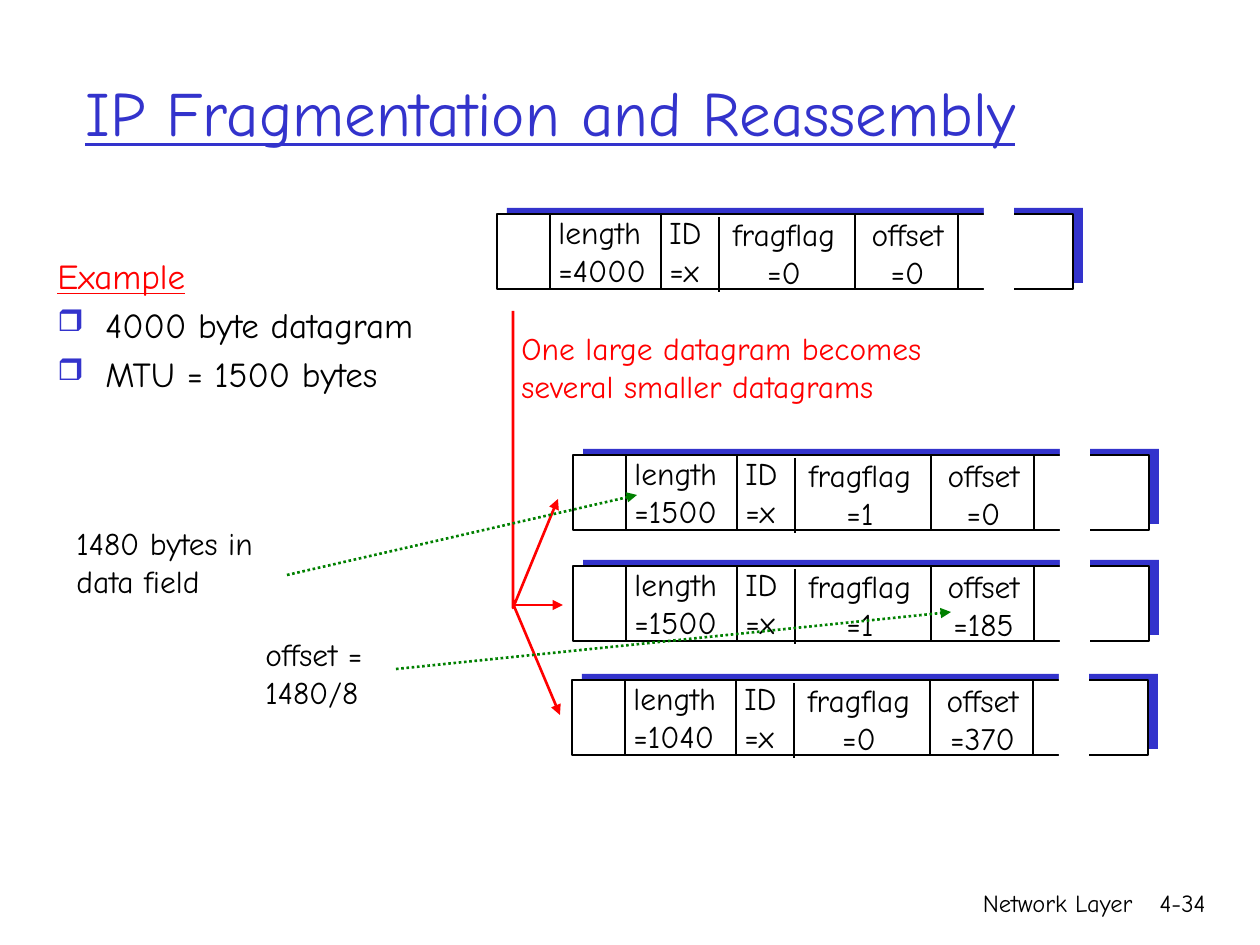
"""Build the IP fragmentation and reassembly slide."""
from dataclasses import dataclass
from typing import Any

import lxml.etree
import pptx
import pptx.dml.color
import pptx.enum.dml
import pptx.enum.shapes
import pptx.enum.text
import pptx.oxml.ns
import pptx.util

EMU_PER_PX = 914400 / 126
ALIGN = pptx.enum.text.PP_ALIGN
ANCHOR = pptx.enum.text.MSO_ANCHOR
AUTO_SIZE = pptx.enum.text.MSO_AUTO_SIZE
RECTANGLE = pptx.enum.shapes.MSO_SHAPE.RECTANGLE
STRAIGHT = pptx.enum.shapes.MSO_CONNECTOR.STRAIGHT
DOTTED = pptx.enum.dml.MSO_LINE.ROUND_DOT


@dataclass(frozen=True)
class Theme:
    font: str = "Comic Neue"
    ink: str = "000000"
    paper: str = "FFFFFF"
    accent: str = "3333CC"
    alert: str = "FF0000"
    pointer: str = "008000"
    title: int = 36
    body: int = 20
    label: int = 18
    footer: int = 14
    stroke: float = 1.5
    bullet_gap: int = 4


THEME = Theme()


@dataclass(frozen=True)
class Label:
    left: int
    top: int
    width: int
    height: int
    lines: tuple[str, ...]
    size: int = THEME.label
    color: str = THEME.ink
    align: Any = ALIGN.LEFT
    anchor: Any = ANCHOR.TOP
    wrap: bool = False
    underline: bool = False


@dataclass(frozen=True)
class Field:
    name: str
    left: int
    top: int
    width: int
    align: Any


@dataclass(frozen=True)
class Datagram:
    left: int
    top: int
    values: tuple[str, ...]


@dataclass(frozen=True)
class Arrow:
    start: tuple[int, int]
    end: tuple[int, int]
    color: str
    dotted: bool = False


FIELDS = (
    Field("length", 49, -7, 118, ALIGN.LEFT),
    Field("ID", 160, -7, 66, ALIGN.LEFT),
    Field("fragflag", 214, -5, 146, ALIGN.CENTER),
    Field("offset", 350, -5, 121, ALIGN.CENTER),
)
DIVIDERS = ((53, 0), (164, 0), (222, 3), (358, 0), (461, 0))
FRAME_WIDTH, FRAME_HEIGHT = 576, 75

DATAGRAMS = (
    Datagram(497, 214, ("=4000", "=x", "=0", "=0")),
    Datagram(573, 455, ("=1500", "=x", "=1", "=0")),
    Datagram(573, 566, ("=1500", "=x", "=1", "=185")),
    Datagram(572, 680, ("=1040", "=x", "=0", "=370")),
)
LABELS = (
    Label(746, 882, 399, 63, ("Network Layer",), THEME.footer, align=ALIGN.RIGHT, wrap=True),
    Label(1125, 882, 93, 63, ("4-34",), THEME.footer, align=ALIGN.RIGHT, wrap=True),
    Label(73, 32, 1071, 158, ("IP Fragmentation and Reassembly",), THEME.title,
          THEME.accent, anchor=ANCHOR.MIDDLE, wrap=True, underline=True),
    Label(509, 323, 450, 88, ("One large datagram becomes", "several smaller datagrams"),
          color=THEME.alert),
    Label(64, 518, 233, 88, ("1480 bytes in\ndata field",)),
    Label(253, 629, 146, 88, ("offset =", "1480/8")),
)
SPLIT_PATH = ((513, 311), (513, 608), (558, 499))
SPLIT_ARROWS = (
    Arrow((513, 605), (563, 605), THEME.alert),
    Arrow((514, 606), (560, 715), THEME.alert),
)
POINTERS = (
    Arrow((287, 575), (637, 495), THEME.pointer, True),
    Arrow((396, 669), (951, 612), THEME.pointer, True),
)


def px(length: int) -> pptx.util.Emu:
    """Convert pixels to EMU."""
    return pptx.util.Emu(round(length * EMU_PER_PX))


def rgb(color: str) -> pptx.dml.color.RGBColor:
    """Convert a hex string to a colour."""
    return pptx.dml.color.RGBColor.from_string(color)


def assign(target: Any, formats: dict[str, Any]) -> None:
    """Set every format value on the target."""
    for name, value in formats.items():
        setattr(target, name, value)


def add_element(parent: Any, tag: str, **attributes: str) -> Any:
    """Append a drawing element to the parent."""
    return lxml.etree.SubElement(parent, pptx.oxml.ns.qn(tag), attributes)


def style_runs(paragraph: Any, size: int, color: str, underline: bool) -> None:
    """Format all runs of a paragraph."""
    for run in paragraph.runs:
        assign(run.font, {"name": THEME.font, "size": pptx.util.Pt(size),
                          "underline": underline})
        run.font.color.rgb = rgb(color)


def style_line(line: Any, color: str) -> None:
    """Give a line its colour and width."""
    line.fill.solid()
    line.fill.fore_color.rgb = rgb(color)
    line.width = pptx.util.Pt(THEME.stroke)


def draw_label(slide: Any, label: Label) -> Any:
    """Draw a text box and return its frame."""
    frame = slide.shapes.add_textbox(
        *map(px, (label.left, label.top, label.width, label.height))).text_frame
    assign(frame, {
        "word_wrap": label.wrap,
        "auto_size": AUTO_SIZE.NONE if label.wrap else AUTO_SIZE.SHAPE_TO_FIT_TEXT,
        "vertical_anchor": label.anchor,
    })
    for index, line in enumerate(label.lines):
        paragraph = frame.add_paragraph() if index else frame.paragraphs[0]
        assign(paragraph, {"text": line, "alignment": label.align})
        style_runs(paragraph, label.size, label.color, label.underline)
    return frame


def draw_box(slide: Any, left: int, top: int, width: int, height: int,
             fill: str, outline: str | None = None) -> None:
    """Draw a filled rectangle."""
    box = slide.shapes.add_shape(RECTANGLE, *map(px, (left, top, width, height)))
    box.shadow.inherit = False
    box.fill.solid()
    box.fill.fore_color.rgb = rgb(fill)
    if outline:
        style_line(box.line, outline)
    else:
        box.line.fill.background()


def draw_line(slide: Any, start: tuple[int, int], end: tuple[int, int], color: str) -> Any:
    """Draw a straight connector."""
    line = slide.shapes.add_connector(STRAIGHT, *map(px, (*start, *end)))
    style_line(line.line, color)
    add_element(line._element.spPr, "a:effectLst")
    return line


def add_arrowhead(stroke: Any) -> None:
    """Put a triangle at the end of a connector or freeform."""
    add_element(stroke._element.spPr.get_or_add_ln(), "a:tailEnd", type="triangle")


def draw_arrow(slide: Any, arrow: Arrow) -> None:
    """Draw a connector with an arrowhead."""
    connector = draw_line(slide, arrow.start, arrow.end, arrow.color)
    if arrow.dotted:
        connector.line.dash_style = DOTTED
    add_arrowhead(connector)


def draw_datagram(slide: Any, datagram: Datagram) -> None:
    """Draw a datagram header with its fields."""
    left, top = datagram.left, datagram.top
    draw_box(slide, left + 10, top - 6, FRAME_WIDTH, FRAME_HEIGHT, THEME.accent)
    draw_box(slide, left, top, FRAME_WIDTH, FRAME_HEIGHT, THEME.paper, THEME.ink)
    for field, value in zip(FIELDS, datagram.values):
        draw_label(slide, Label(left + field.left, top + field.top, field.width, 88,
                                (field.name, value), align=field.align))
    for across, down in DIVIDERS:
        x, y = left + across, top + down
        draw_line(slide, (x, y), (x, y + FRAME_HEIGHT), THEME.ink)
    draw_box(slide, left + 487, top - 7, 30, 84, THEME.paper)


def draw_split(slide: Any) -> None:
    """Draw the arrows from the large datagram to its fragments."""
    first, *rest = [tuple(map(px, point)) for point in SPLIT_PATH]
    builder = slide.shapes.build_freeform(*first)
    builder.add_line_segments(rest, close=False)
    trunk = builder.convert_to_shape()
    trunk.shadow.inherit = False
    trunk.fill.background()
    style_line(trunk.line, THEME.alert)
    add_arrowhead(trunk)
    for arrow in SPLIT_ARROWS:
        draw_arrow(slide, arrow)


def draw_example(slide: Any) -> None:
    """Draw the example heading and its bullets."""
    example = Label(45, 248, 391, 232, ("Example", "4000 byte datagram", "MTU = 1500 bytes"),
                    THEME.body, wrap=True)
    heading, *facts = draw_label(slide, example).paragraphs
    style_runs(heading, THEME.body, THEME.alert, True)
    for fact in facts:
        properties = fact._p.get_or_add_pPr()
        properties.set("marL", str(px(48)))
        properties.set("indent", str(px(-48)))
        add_element(add_element(properties, "a:buClr"), "a:srgbClr", val=THEME.accent)
        add_element(properties, "a:buSzPct", val="85000")
        add_element(properties, "a:buChar", char="❒")
        fact.space_before = pptx.util.Pt(THEME.bullet_gap)


def main() -> None:
    """Build and save the slide."""
    deck = pptx.Presentation()
    assign(deck, {"slide_width": px(1260), "slide_height": px(945)})
    slide = deck.slides.add_slide(deck.slide_layouts[6])
    for datagram in DATAGRAMS:
        draw_datagram(slide, datagram)
    draw_split(slide)
    draw_example(slide)
    for label in LABELS:
        draw_label(slide, label)
    for pointer in POINTERS:
        draw_arrow(slide, pointer)
    deck.save("out.pptx")


if __name__ == "__main__":
    main()
